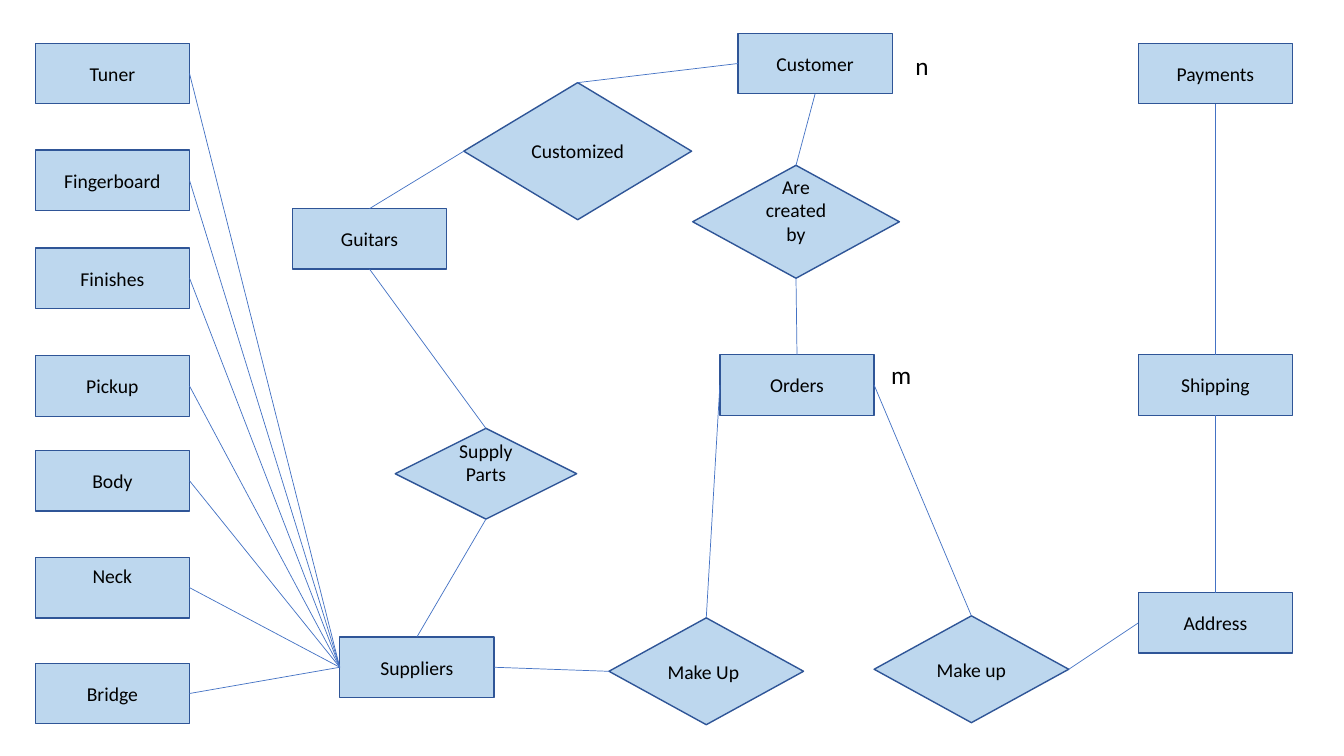
import dataclasses

import pptx
import pptx.dml.color
import pptx.enum.shapes
import pptx.enum.text
import pptx.oxml.ns
import pptx.util
from lxml import etree

Inches = pptx.util.Inches
Align = pptx.enum.text.PP_ALIGN
Anchor = pptx.enum.text.MSO_ANCHOR
Preset = pptx.enum.shapes.MSO_SHAPE
TOP, LEFT, BOTTOM, RIGHT = range(4)


@dataclasses.dataclass(frozen=True)
class Theme:
    font: str = "Calibri"
    fill: str = "BDD7EE"
    outline: str = "2F5597"
    link: str = "4472C4"
    text: str = "000000"
    label_size: float = 14
    mark_size: float = 18
    outline_width: float = 1
    link_width: float = 0.5
    inset: float = 0.05
    raised_inset: float = 0.28


THEME = Theme()
ENTITY_SIZE = (1.53, 0.6)
PART_LEFT = 0.35
PART_TOPS = {
    "Tuner": 0.43, "Fingerboard": 1.49, "Finishes": 2.46, "Pickup": 3.53,
    "Body": 4.47, "Neck": 5.53, "Bridge": 6.58,
}
ORDER_LEFT = 11.29
ORDER_TOPS = {"Payments": 0.43, "Shipping": 3.52, "Address": 5.88}
ENTITIES = {
    "Suppliers": (3.37, 6.32), "Guitars": (2.9, 2.07),
    "Customer": (7.32, 0.33), "Orders": (7.14, 3.52),
}
RELATIONS = {
    "Supply Parts": (3.92, 4.25, 1.8, 0.9),
    "Customized": (4.6, 0.82, 2.26, 1.36),
    "Are created by": (6.87, 1.64, 2.05, 1.12),
    "Make up": (8.67, 6.11, 1.93, 1.06),
    "Make Up": (6.04, 6.13, 1.93, 1.06),
}
RAISED = {"Neck", "Supply Parts", "Are created by"}
LEFT_ALIGNED = {"Make Up"}
CARDINALITIES = {"n": (8.98, 0.45, 0.44, 0.4), "m": (8.74, 3.52, 0.36, 0.4)}
LINKS = [
    ("Customer", BOTTOM, "Are created by", TOP),
    ("Are created by", BOTTOM, "Orders", TOP),
    ("Orders", LEFT, "Make Up", TOP),
    ("Orders", RIGHT, "Make up", TOP),
    ("Make Up", LEFT, "Suppliers", RIGHT),
    ("Make up", RIGHT, "Address", LEFT),
    ("Customized", TOP, "Customer", LEFT),
    ("Guitars", TOP, "Customized", LEFT),
    ("Guitars", BOTTOM, "Supply Parts", TOP),
    ("Supply Parts", BOTTOM, "Suppliers", TOP),
    ("Payments", BOTTOM, "Shipping", TOP),
    ("Shipping", BOTTOM, "Address", TOP),
]


def color(value):
    return pptx.dml.color.RGBColor.from_string(value)


def column(left, tops):
    return {name: (left, top) for name, top in tops.items()}


def write_text(frame, text, *, size, align=Align.LEFT, anchor=Anchor.TOP,
               bottom=THEME.inset):
    frame.word_wrap = True
    frame.vertical_anchor = anchor
    frame.margin_bottom = Inches(bottom)
    para = frame.paragraphs[0]
    para.alignment = align
    span = para.add_run()
    span.text = text
    span.font.name = THEME.font
    span.font.size = pptx.util.Pt(size)
    span.font.color.rgb = color(THEME.text)


def add_node(page, preset, label, bounds):
    node = page.shapes.add_shape(preset, *map(Inches, bounds))
    node.shadow.inherit = False
    node.fill.solid()
    node.fill.fore_color.rgb = color(THEME.fill)
    node.line.color.rgb = color(THEME.outline)
    node.line.width = pptx.util.Pt(THEME.outline_width)
    write_text(
        node.text_frame, label, size=THEME.label_size, anchor=Anchor.MIDDLE,
        align=Align.LEFT if label in LEFT_ALIGNED else Align.CENTER,
        bottom=THEME.raised_inset if label in RAISED else THEME.inset,
    )
    return node


def add_link(page, start, start_side, end, end_side):
    link = page.shapes.add_connector(
        pptx.enum.shapes.MSO_CONNECTOR.STRAIGHT, 0, 0, 0, 0)
    link.begin_connect(start, start_side)
    link.end_connect(end, end_side)
    link.line.color.rgb = color(THEME.link)
    link.line.width = pptx.util.Pt(THEME.link_width)
    etree.SubElement(link._element.spPr, pptx.oxml.ns.qn("a:effectLst"))


def add_cardinality(page, mark, bounds):
    box = page.shapes.add_textbox(*map(Inches, bounds))
    write_text(box.text_frame, mark, size=THEME.mark_size)


def main():
    deck = pptx.Presentation()
    deck.slide_width = Inches(13.33)
    deck.slide_height = Inches(7.5)
    page = deck.slides.add_slide(deck.slide_layouts[6])

    parts = column(PART_LEFT, PART_TOPS)
    entities = parts | ENTITIES | column(ORDER_LEFT, ORDER_TOPS)
    nodes = {}
    for label, corner in entities.items():
        nodes[label] = add_node(
            page, Preset.FLOWCHART_PROCESS, label, corner + ENTITY_SIZE)
    for label, bounds in RELATIONS.items():
        nodes[label] = add_node(page, Preset.FLOWCHART_DECISION, label, bounds)

    supplies = [(part, RIGHT, "Suppliers", LEFT) for part in parts]
    for start, start_side, end, end_side in LINKS + supplies:
        add_link(page, nodes[start], start_side, nodes[end], end_side)
    for mark, bounds in CARDINALITIES.items():
        add_cardinality(page, mark, bounds)
    deck.save("out.pptx")


main()
